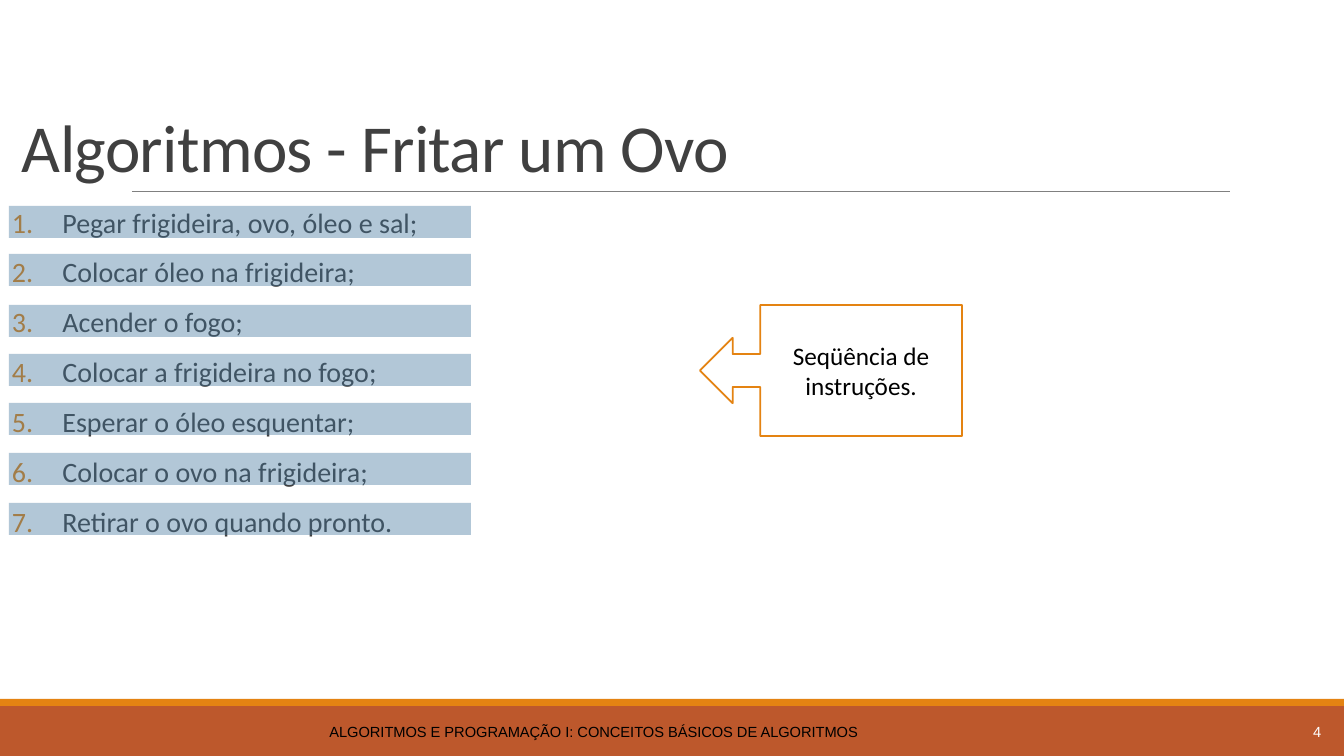
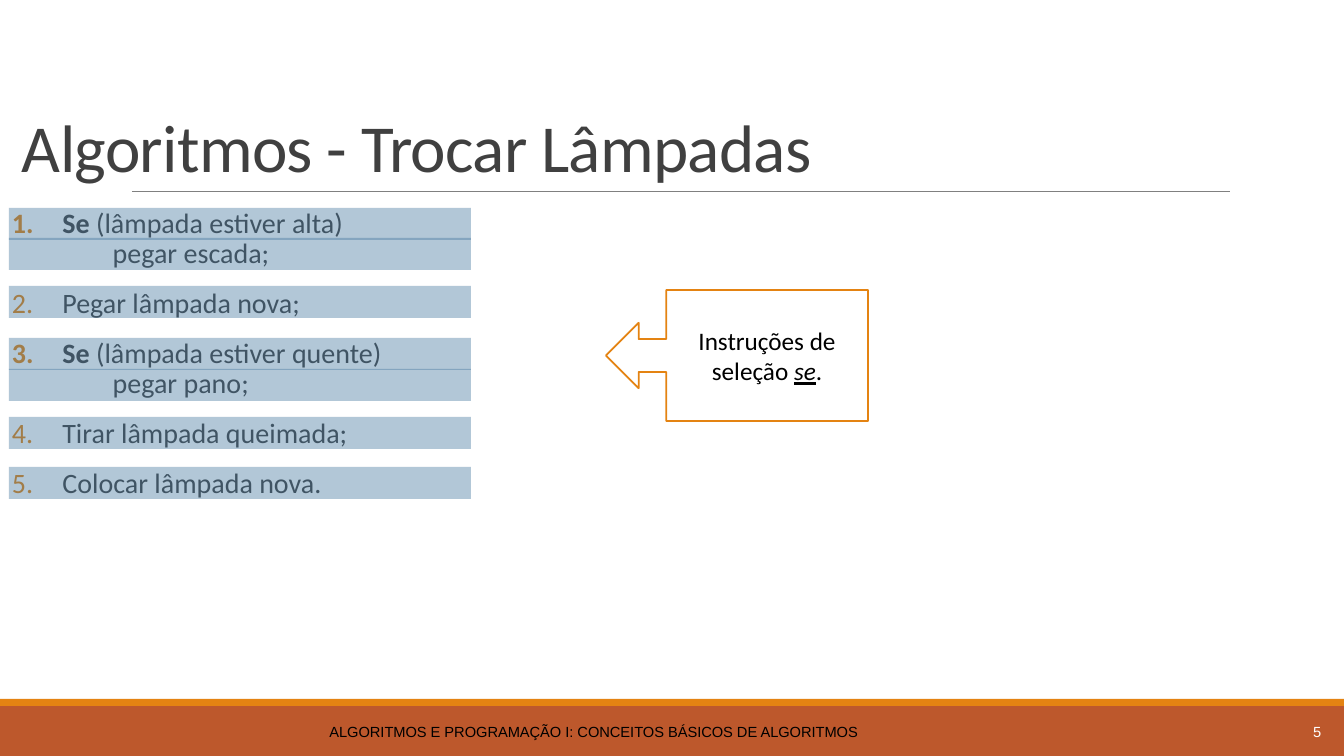
"""Build two slides on everyday algorithms, each a numbered list with a callout."""
from lxml import etree
from pptx import Presentation
from pptx.dml.color import RGBColor
from pptx.enum.shapes import MSO_CONNECTOR, MSO_SHAPE
from pptx.enum.text import MSO_ANCHOR, PP_ALIGN
from pptx.oxml.ns import qn
from pptx.util import Pt

RECTANGLE = MSO_SHAPE.RECTANGLE
CALLOUT = MSO_SHAPE.LEFT_ARROW_CALLOUT
STRAIGHT = MSO_CONNECTOR.STRAIGHT
LEFT, CENTER, RIGHT = PP_ALIGN.LEFT, PP_ALIGN.CENTER, PP_ALIGN.RIGHT
JUSTIFY = PP_ALIGN.JUSTIFY
TOP, MIDDLE, BOTTOM = MSO_ANCHOR.TOP, MSO_ANCHOR.MIDDLE, MSO_ANCHOR.BOTTOM

RUST = RGBColor(0xBD, 0x58, 0x2C)
ORANGE = RGBColor(0xE4, 0x83, 0x12)
GRAY = RGBColor(0x80, 0x80, 0x80)
DARK = RGBColor(0x40, 0x40, 0x40)
BLUE = RGBColor(0x40, 0x74, 0x9B)
BLACK = RGBColor(0, 0, 0)
WHITE = RGBColor(0xFF, 0xFF, 0xFF)

FOOTER = "ALGORITMOS E PROGRAMAÇÃO I: CONCEITOS BÁSICOS DE ALGORITMOS"
SLIDES = [
    {
        "title": "Algoritmos - Fritar um Ovo",
        "number": 4,
        "align": JUSTIFY,
        "steps": [
            [("Pegar frigideira, ovo, óleo e sal;", "")],
            [("Colocar óleo na frigideira;", "")],
            [("Acender o fogo;", "")],
            [("Colocar a frigideira no fogo;", "")],
            [("Esperar o óleo esquentar;", "")],
            [("Colocar o ovo na frigideira;", "")],
            [("Retirar o ovo quando pronto.", "")],
        ],
        "highlight_tops": [206, 254, 305, 354, 403, 453, 503],
        "callout": [("Seqüência de instruções.", "")],
        "callout_at": (700, 305),
    },
    {
        "title": "Algoritmos - Trocar Lâmpadas",
        "number": 5,
        "align": LEFT,
        "steps": [
            [("Se ", "b"), ("(lâmpada estiver alta)\n\tpegar escada;", "")],
            [("Pegar lâmpada nova;", "")],
            [("Se ", "b"), ("(lâmpada estiver quente)\n\tpegar pano;", "")],
            [("Tirar lâmpada queimada;", "")],
            [("Colocar lâmpada nova.", "")],
        ],
        "highlight_tops": [208, 238, 286, 338, 369, 417, 467],
        "callout": [("Instruções de seleção ", ""), ("se", "iu"), (".", "")],
        "callout_at": (606, 290),
    },
]


def px(length):
    """Turn pixels into EMU."""
    return round(length * 9144000 / 1008)


def add_runs(paragraph, runs, size, color, font="Calibri", spacing=None):
    """Add (text, style letters) pairs; a newline becomes a line break."""
    for text, style in runs:
        for index, line in enumerate(text.split("\n")):
            if index:
                paragraph.add_line_break()
            run = paragraph.add_run()
            run.text = line
            run.font.size = Pt(size)
            run.font.name = font
            run.font.color.rgb = color
            run.font.bold = "b" in style
            run.font.italic = "i" in style
            run.font.underline = "u" in style
            if spacing is not None:
                run.font._element.set("spc", str(spacing))


def add_text_box(slide, box, anchor):
    """Add a wrapping text box and return its frame."""
    frame = slide.shapes.add_textbox(*map(px, box)).text_frame
    frame.word_wrap = True
    frame.vertical_anchor = anchor
    return frame


def add_line_of_text(slide, box, text, anchor, align, size, color, **style):
    """Add a text box with a single paragraph."""
    paragraph = add_text_box(slide, box, anchor).paragraphs[0]
    paragraph.alignment = align
    add_runs(paragraph, [(text, "")], size, color, **style)
    return paragraph


def add_filled(slide, kind, box, color):
    """Add a flat shape without an outline."""
    shape = slide.shapes.add_shape(kind, *map(px, box))
    shape.shadow.inherit = False
    shape.fill.solid()
    shape.fill.fore_color.rgb = color
    shape.line.fill.background()
    return shape


def add_frame(slide, title, number):
    """Add the bands, rule, title and footer that every slide has."""
    add_filled(slide, RECTANGLE, (0, 706, 1344, 50), RUST)
    add_filled(slide, RECTANGLE, (0, 699, 1344, 7), ORANGE)
    rule = slide.shapes.add_connector(STRAIGHT, px(132), px(191), px(1230), px(191))
    rule.line.color.rgb = GRAY
    rule.line.width = Pt(0.5)
    etree.SubElement(rule._element.spPr, qn("a:effectLst"))
    heading = add_line_of_text(slide, (12, 31, 1320, 160), title, BOTTOM, LEFT,
                               48, DARK, spacing=-50)
    heading.line_spacing = 0.85
    add_line_of_text(slide, (12, 712, 1164, 40), FOOTER, MIDDLE, CENTER,
                     10.5, BLACK, font="Arial")
    add_line_of_text(slide, (1187, 712, 144, 40), str(number), MIDDLE, RIGHT,
                     10.5, WHITE, font="Arial")


def number_paragraph(paragraph):
    """Give a paragraph a hanging orange number."""
    properties = paragraph._p.get_or_add_pPr()
    properties.set("marL", "457200")
    properties.set("indent", "-457200")
    color = etree.SubElement(properties, qn("a:buClr"))
    etree.SubElement(color, qn("a:srgbClr"), val=str(ORANGE))
    etree.SubElement(properties, qn("a:buFont"), typeface="+mj-lt")
    etree.SubElement(properties, qn("a:buAutoNum"), type="arabicPeriod")


def add_steps(slide, steps, align):
    """Add the numbered list."""
    frame = add_text_box(slide, (12, 204, 1320, 495), TOP)
    frame.margin_left = frame.margin_right = 0
    for index, runs in enumerate(steps):
        paragraph = frame.add_paragraph() if index else frame.paragraphs[0]
        number_paragraph(paragraph)
        paragraph.alignment = align
        paragraph.line_spacing = 0.9
        paragraph.space_before = Pt(12 if index else 0)
        paragraph.space_after = Pt(2)
        add_runs(paragraph, runs, 20, DARK)


def add_highlights(slide, tops):
    """Lay a translucent bar over each line of the list."""
    for top in tops:
        bar = add_filled(slide, RECTANGLE, (9, top, 462, 32), BLUE)
        color = bar._element.spPr.find(qn("a:solidFill"))[0]
        etree.SubElement(color, qn("a:alpha"), val="40000")


def add_callout(slide, corner, runs):
    """Add the outlined arrow callout that points at the list."""
    callout = add_filled(slide, CALLOUT, (*corner, 262, 131), WHITE)
    callout.line.color.rgb = ORANGE
    callout.line.width = Pt(1.25)
    for index, value in enumerate((0.25, 0.25, 0.25, 0.77)):
        callout.adjustments[index] = value
    frame = callout.text_frame
    frame.word_wrap = True
    frame.vertical_anchor = MIDDLE
    frame.paragraphs[0].alignment = CENTER
    add_runs(frame.paragraphs[0], runs, 18, BLACK)


def main():
    """Build and save the presentation."""
    presentation = Presentation()
    presentation.slide_width = px(1344)
    presentation.slide_height = px(756)
    for content in SLIDES:
        slide = presentation.slides.add_slide(presentation.slide_layouts[6])
        add_frame(slide, content["title"], content["number"])
        add_steps(slide, content["steps"], content["align"])
        add_highlights(slide, content["highlight_tops"])
        add_callout(slide, content["callout_at"], content["callout"])
    presentation.save("out.pptx")


if __name__ == "__main__":
    main()
